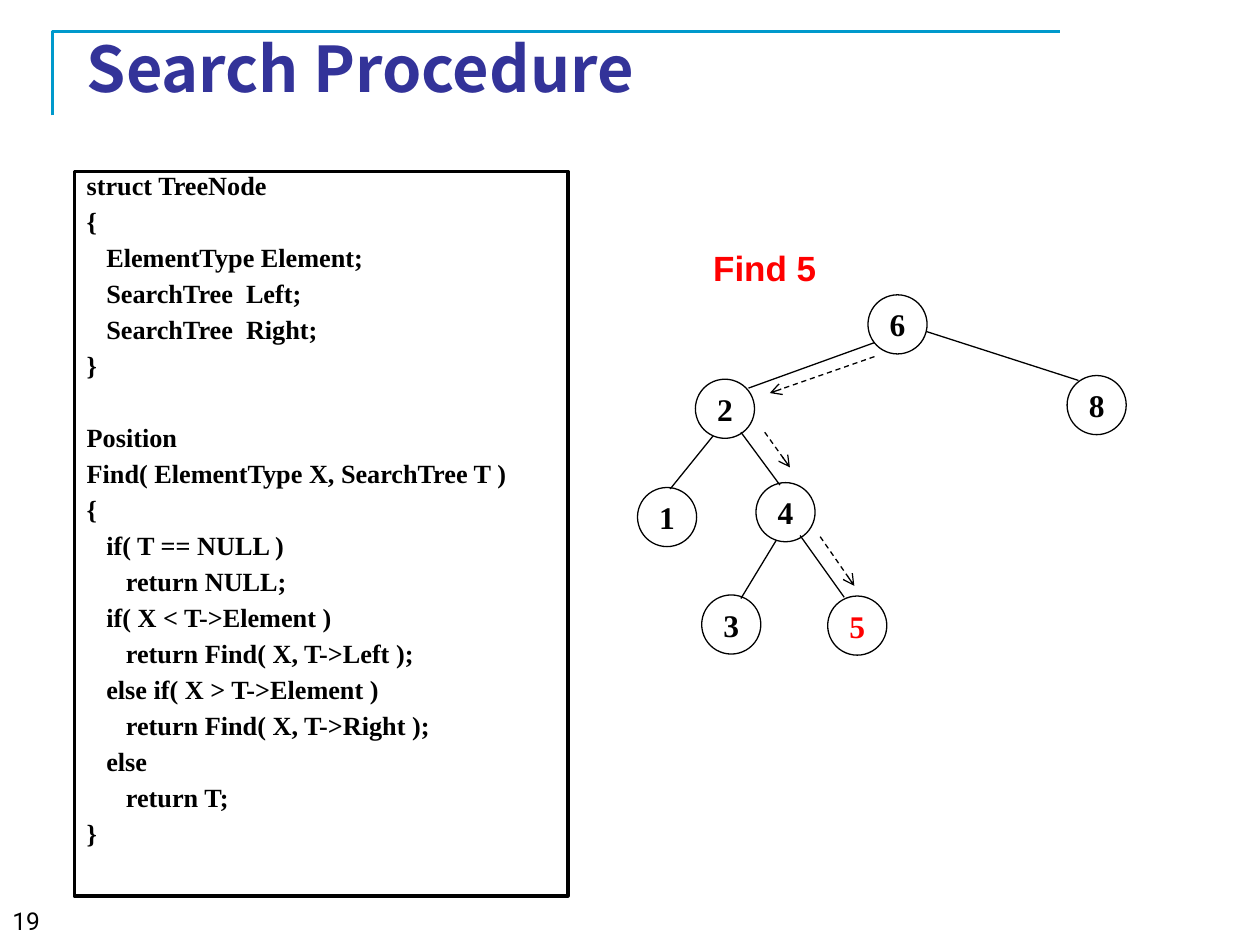
from lxml.etree import SubElement
from pptx import Presentation
from pptx.dml.color import RGBColor
from pptx.enum.dml import MSO_LINE
from pptx.enum.shapes import MSO_CONNECTOR, MSO_SHAPE
from pptx.enum.text import MSO_ANCHOR, PP_ALIGN
from pptx.oxml.ns import qn
from pptx.util import Pt

BLACK = RGBColor(0x00, 0x00, 0x00)
WHITE = RGBColor(0xFF, 0xFF, 0xFF)
RED = RGBColor(0xFF, 0x00, 0x00)
NAVY = RGBColor(0x33, 0x33, 0x99)
TEAL = RGBColor(0x00, 0x99, 0xCC)
SERIF = "Times New Roman"

CODE = """struct TreeNode
{
   ElementType Element;
   SearchTree  Left;
   SearchTree  Right;
}
Position
Find( ElementType X, SearchTree T )
{
   if( T == NULL )
      return NULL;
   if( X < T->Element )
      return Find( X, T->Left );
   else if( X > T->Element )
      return Find( X, T->Right );
   else
      return T;
}"""

NODE_SIZE = 33.8
NODES = {
    "6": (132, 28.5),
    "2": (33.4, 76.7),
    "8": (245.8, 74.6),
    "1": (0.3, 138.6),
    "4": (68, 135.8),
    "3": (37, 200),
    "5": (109, 200.6),
}
EDGES = [
    (135.7, 55.8, 63.7, 81.8),
    (165.2, 49.4, 252.3, 77.4),
    (43.5, 109.1, 19, 139.4),
    (59.4, 107, 81.7, 137.2),
    (79.5, 168.9, 59.4, 202),
    (93.2, 166, 118.4, 201.3),
]
SEARCH_STEPS = [
    (135.7, 63.8, 75.9, 84.6),
    (73, 107, 87.4, 127.1),
    (104.7, 166.7, 124.2, 194.8),
]


def style(p, font, size, color, bold=True):
    for r in p.runs:
        r.font.name = font
        r.font.size = Pt(size)
        r.font.bold = bold
        r.font.color.rgb = color


def add_text(s, box, text, font, size, color, bold=True):
    tf = s.shapes.add_textbox(*map(Pt, box)).text_frame
    tf.word_wrap = True
    tf.text = text
    style(tf.paragraphs[0], font, size, color, bold)
    return tf


def add_line(s, x, y, ends, arrow=False):
    x1, y1, x2, y2 = ends
    line = s.shapes.add_connector(
        MSO_CONNECTOR.STRAIGHT, Pt(x + x1), Pt(y + y1), Pt(x + x2), Pt(y + y2))
    line.line.color.rgb = BLACK
    line.line.width = Pt(0.75)
    if arrow:
        line.line.dash_style = MSO_LINE.DASH
        SubElement(line.line._get_or_add_ln(), qn("a:tailEnd"), type="arrow")
    SubElement(line._element.spPr, qn("a:effectLst"))


def add_corner(s, box):
    x, y, w, h = box
    builder = s.shapes.build_freeform(Pt(x), Pt(y + h))
    builder.add_line_segments([(Pt(x), Pt(y)), (Pt(x + w), Pt(y))], close=False)
    sp = builder.convert_to_shape()
    sp.shadow.inherit = False
    sp.fill.background()
    sp.line.color.rgb = TEAL
    sp.line.width = Pt(1.5)


def add_title(s, box):
    tf = add_text(s, box, "Search Procedure", "Noto Sans CJK KR", 36, NAVY)
    tf.vertical_anchor = MSO_ANCHOR.MIDDLE


def add_code(s, box):
    sp = s.shapes.add_shape(MSO_SHAPE.RECTANGLE, *map(Pt, box))
    sp.shadow.inherit = False
    sp.fill.solid()
    sp.fill.fore_color.rgb = WHITE
    sp.line.color.rgb = BLACK
    sp.line.width = Pt(2)
    tf = sp.text_frame
    tf.word_wrap = True
    tf.vertical_anchor = MSO_ANCHOR.TOP
    tf.text = CODE
    for i, p in enumerate(tf.paragraphs):
        p.alignment = PP_ALIGN.LEFT
        p.line_spacing = 0.7
        if i:
            p.space_before = Pt(28.2 if p.text == "Position" else 8)
        style(p, SERIF, 15, BLACK)


def add_node(s, x, y, key, color):
    sp = s.shapes.add_shape(
        MSO_SHAPE.OVAL, Pt(x), Pt(y), Pt(NODE_SIZE), Pt(NODE_SIZE))
    sp.shadow.inherit = False
    sp.fill.background()
    sp.line.color.rgb = BLACK
    sp.line.width = Pt(0.75)
    tf = sp.text_frame
    tf.margin_left = tf.margin_right = tf.margin_top = tf.margin_bottom = 0
    tf.word_wrap = False
    tf.vertical_anchor = MSO_ANCHOR.MIDDLE
    tf.text = key
    p = tf.paragraphs[0]
    p.alignment = PP_ALIGN.CENTER
    style(p, SERIF, 18, color)


def add_tree(s, box, target):
    x, y, w, h = box
    tf = add_text(s, (x + 30.5, y, 85, 29), f"Find {target}", "Arial", 20, RED)
    tf.paragraphs[0].alignment = PP_ALIGN.CENTER
    tf.paragraphs[0].line_spacing = 0.9
    for ends in EDGES:
        add_line(s, x, y, ends)
    for key, (left, top) in NODES.items():
        add_node(s, x + left, y + top, key, RED if key == target else BLACK)
    for ends in SEARCH_STEPS:
        add_line(s, x, y, ends, arrow=True)


def add_page_number(s, box):
    add_text(s, box, "19", "Roboto", 14, BLACK, bold=False)


def main():
    prs = Presentation()
    prs.slide_width = Pt(720)
    prs.slide_height = Pt(540)
    s = prs.slides.add_slide(prs.slide_layouts[6])
    add_corner(s, (30, 18, 576, 48))
    add_page_number(s, (0, 514, 225, 26))
    add_code(s, (42.5, 98, 282, 414))
    add_title(s, (42.5, 21.6, 612, 34))
    add_tree(s, (364, 140, 280, 234), "5")
    prs.save("out.pptx")


if __name__ == "__main__":
    main()
